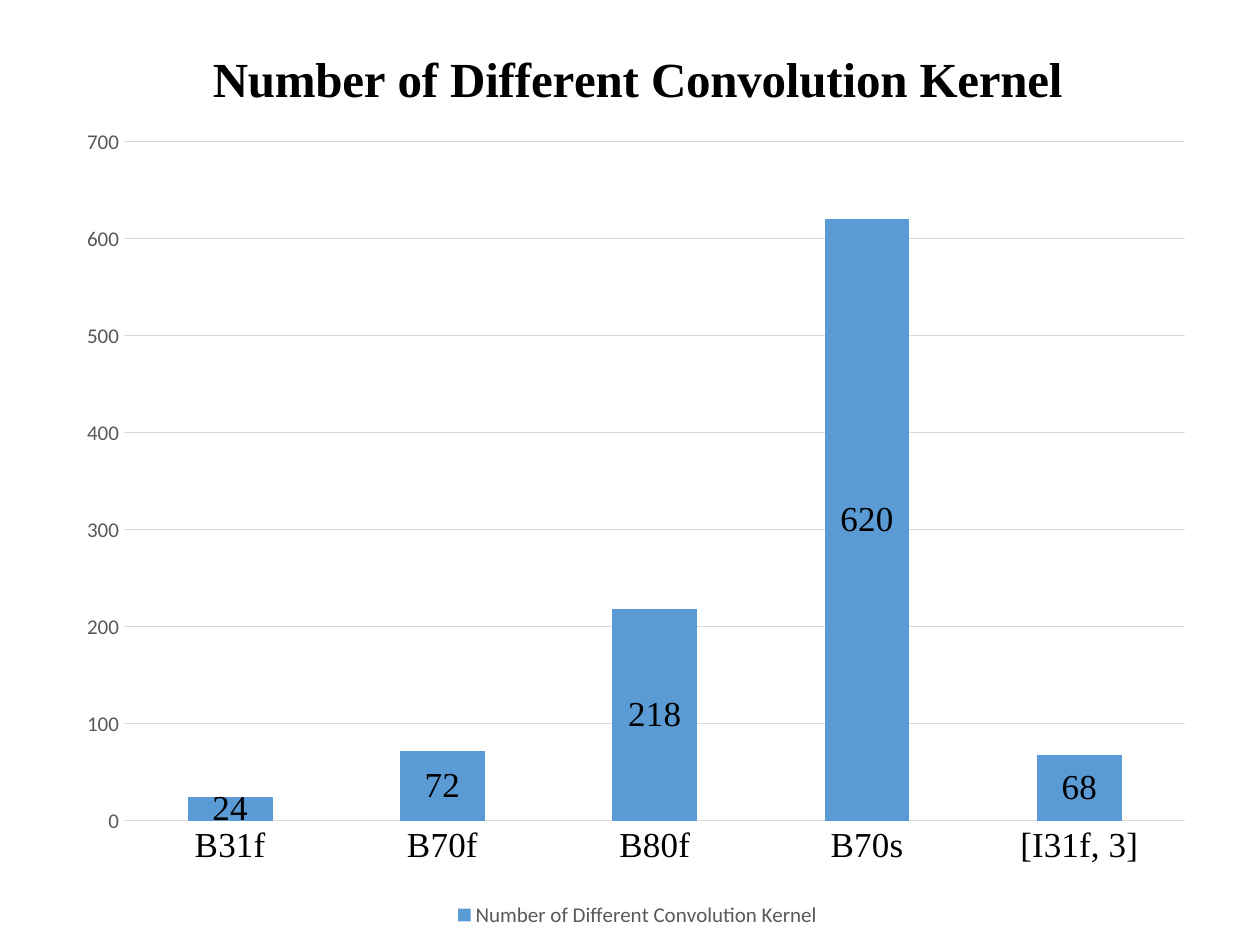
from typing import NamedTuple

import pptx
import pptx.chart.data
import pptx.dml.color
import pptx.enum.chart
import pptx.oxml
import pptx.oxml.ns
import pptx.util
from pptx.util import Cm, Pt

TITLE = "Number of Different Convolution Kernel"
SERIF, SANS = "Times New Roman", "Calibri"
BLACK, GRAY, RULE, BLUE = "000000", "595959", "D9D9D9", "5B9BD5"


class Kernel(NamedTuple):
    name: str
    count: int


KERNELS = [
    Kernel("B31f", 24),
    Kernel("B70f", 72),
    Kernel("B80f", 218),
    Kernel("B70s", 620),
    Kernel("[I31f, 3]", 68),
]


def paint(color, code: str) -> None:
    color.rgb = pptx.dml.color.RGBColor.from_string(code)


def style(font, size: float, code: str, face: str, bold: bool = False) -> None:
    font.size, font.name, font.bold = Pt(size), face, bold
    paint(font.color, code)


def write(frame, text: str, **form) -> None:
    """Put one formatted run into a text frame."""
    run = frame.paragraphs[0].add_run()
    run.text = text
    style(run.font, **form)


def rule(line) -> None:
    line.width = Pt(0.75)
    paint(line.color, RULE)


def place(node, inner: bool = False, **spots: float) -> None:
    """Set a manual layout, in fractions of the chart, on a title or plot."""
    for old in node.findall(pptx.oxml.ns.qn("c:layout")):
        node.remove(old)
    parts = '<c:layoutTarget val="inner"/>' if inner else ""
    parts += "".join(f'<c:{key}Mode val="edge"/>' for key in ("x", "y"))
    parts += "".join(f'<c:{key} val="{val}"/>' for key, val in spots.items())
    layout = pptx.oxml.parse_xml(
        f'<c:layout {pptx.oxml.ns.nsdecls("c")}>'
        f"<c:manualLayout>{parts}</c:manualLayout></c:layout>"
    )
    text = node.find(pptx.oxml.ns.qn("c:tx"))
    node.insert(0 if text is None else node.index(text) + 1, layout)


def draw_axes(chart) -> None:
    none = pptx.enum.chart.XL_TICK_MARK.NONE
    for axis in (chart.category_axis, chart.value_axis):
        axis.major_tick_mark = axis.minor_tick_mark = none
    cats, vals = chart.category_axis, chart.value_axis
    style(cats.tick_labels.font, 20, BLACK, SERIF)
    rule(cats.format.line)
    style(vals.tick_labels.font, 12, GRAY, SANS)
    vals.format.line.fill.background()
    vals.minimum_scale, vals.maximum_scale, vals.major_unit = 0, 700, 100
    rule(vals.major_gridlines.format.line)


def draw_bars(plot) -> None:
    plot.gap_width, plot.overlap = 150, 100
    plot.vary_by_categories = False
    bars = plot.series[0]
    bars.format.fill.solid()
    paint(bars.format.fill.fore_color, BLUE)
    labels = bars.data_labels
    labels.show_value = True
    labels.position = pptx.enum.chart.XL_LABEL_POSITION.CENTER
    style(labels.font, 20, BLACK, SERIF)


def draw_chart(slide) -> None:
    data = pptx.chart.data.CategoryChartData()
    data.categories = [kernel.name for kernel in KERNELS]
    data.add_series(TITLE, [kernel.count for kernel in KERNELS])
    chart = slide.shapes.add_chart(
        pptx.enum.chart.XL_CHART_TYPE.COLUMN_STACKED,
        Cm(1.35), Cm(0.05), Cm(23.01), Cm(18.75), data,
    ).chart
    style(chart.font, 10, BLACK, SANS)

    write(chart.chart_title.text_frame, TITLE,
          size=28, code=BLACK, face=SERIF, bold=True)
    chart.chart_title.include_in_layout = False
    place(chart.chart_title._element, x=0.12, y=0.04)

    draw_axes(chart)
    draw_bars(chart.plots[0])
    place(chart._chartSpace.chart.plotArea, inner=True,
          x=0.05, y=0.15, w=0.93, h=0.73)

    chart.has_legend = True
    chart.legend.position = pptx.enum.chart.XL_LEGEND_POSITION.BOTTOM
    chart.legend.include_in_layout = False
    style(chart.legend.font, 12, GRAY, SANS)


def main() -> None:
    deck = pptx.Presentation()
    deck.slide_width, deck.slide_height = Cm(25.4), Cm(19.05)
    draw_chart(deck.slides.add_slide(deck.slide_layouts[6]))
    deck.save("out.pptx")


if __name__ == "__main__":
    main()
